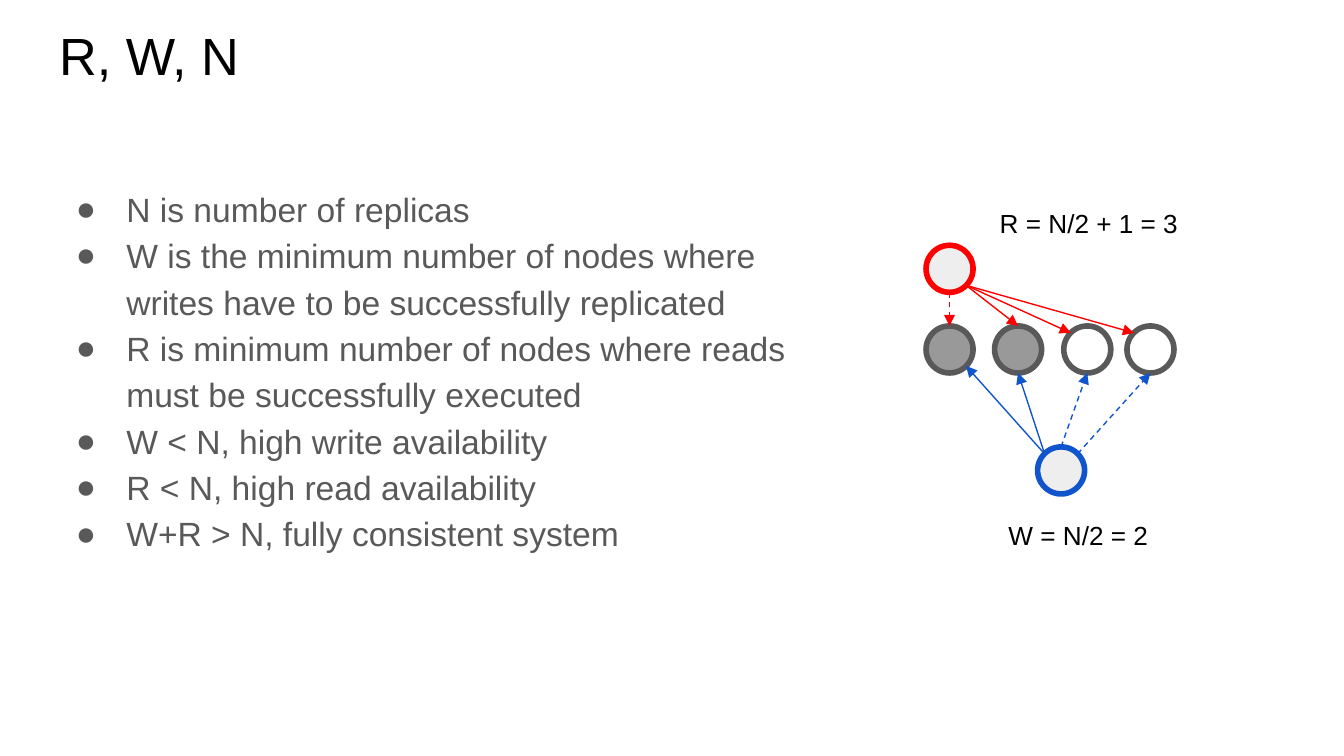
from lxml.etree import SubElement
from pptx import Presentation
from pptx.dml.color import RGBColor
from pptx.enum.dml import MSO_LINE
from pptx.enum.shapes import MSO_CONNECTOR, MSO_SHAPE
from pptx.enum.text import MSO_ANCHOR, MSO_AUTO_SIZE, PP_ALIGN
from pptx.oxml.ns import qn
from pptx.util import Emu, Pt

BLACK = RGBColor(0x00, 0x00, 0x00)
DARK = RGBColor(0x59, 0x59, 0x59)
GRAY = RGBColor(0x99, 0x99, 0x99)
PALE = RGBColor(0xEE, 0xEE, 0xEE)
RED = RGBColor(0xFF, 0x00, 0x00)
BLUE = RGBColor(0x11, 0x55, 0xCC)

PX = 4572
INSET = 20
NODE = 70
SITES = {
    "top": (0.5, 0), "bottom": (0.5, 1),
    "top_left": (0.15, 0.15), "top_right": (0.85, 0.15),
    "bottom_right": (0.85, 0.85),
}
BULLETS = [
    "N is number of replicas",
    "W is the minimum number of nodes where writes have to be successfully replicated",
    "R is minimum number of nodes where reads must be successfully executed",
    "W < N, high write availability",
    "R < N, high read availability",
    "W+R > N, fully consistent system",
]


def px(n):
    return Emu(round(n * PX))


def place(sp, box):
    for name, value in zip(("left", "top", "width", "height"), box):
        setattr(sp, name, px(value))


def prepare_frame(sp):
    tf = sp.text_frame
    fmt = {"word_wrap": True, "auto_size": MSO_AUTO_SIZE.NONE, "vertical_anchor": MSO_ANCHOR.TOP}
    fmt.update({f"margin_{side}": px(INSET) for side in ("left", "top", "right", "bottom")})
    for name, value in fmt.items():
        setattr(tf, name, value)
    return tf


def write(p, text, size, color):
    p.alignment = PP_ALIGN.LEFT
    r = p.add_run()
    r.text = text
    for name, value in {"name": "Arial", "size": Pt(size)}.items():
        setattr(r.font, name, value)
    r.font.color.rgb = color


def add_bullet(p):
    pPr = p._p.get_or_add_pPr()
    pPr.set("marL", str(px(100)))
    pPr.set("indent", str(px(-75)))
    color = SubElement(pPr, qn("a:buClr"))
    SubElement(color, qn("a:srgbClr"), val=str(DARK))
    SubElement(pPr, qn("a:buFont"), typeface="Arial")
    SubElement(pPr, qn("a:buChar"), char="●")


def fill_title(sp, box):
    place(sp, box)
    write(prepare_frame(sp).paragraphs[0], "R, W, N", 28, BLACK)


def fill_body(sp, box):
    place(sp, box)
    tf = prepare_frame(sp)
    for i, text in enumerate(BULLETS):
        p = tf.add_paragraph() if i else tf.paragraphs[0]
        add_bullet(p)
        for name, value in {"line_spacing": 1.15, "space_before": Pt(0), "space_after": Pt(0)}.items():
            setattr(p, name, value)
        write(p, text, 18, DARK)


def add_node(s, x, y, fill, line):
    sp = s.shapes.add_shape(MSO_SHAPE.OVAL, px(x), px(y), px(NODE), px(NODE))
    sp.shadow.inherit = False
    if fill is None:
        sp.fill.background()
    else:
        sp.fill.solid()
        sp.fill.fore_color.rgb = fill
    sp.line.color.rgb = line
    sp.line.width = Pt(3)
    return x, y


def add_arrow(s, start, start_site, end, end_site, color, dashed):
    points = [
        px(origin + NODE * share)
        for node, site in ((start, start_site), (end, end_site))
        for origin, share in zip(node, SITES[site])
    ]
    cx = s.shapes.add_connector(MSO_CONNECTOR.STRAIGHT, *points)
    cx.line.color.rgb = color
    cx.line.width = Pt(0.75)
    if dashed:
        cx.line.dash_style = MSO_LINE.DASH
    SubElement(cx.line._get_or_add_ln(), qn("a:tailEnd"), type="triangle")
    SubElement(cx._element.spPr, qn("a:effectLst"))


def add_label(s, box, text):
    sp = s.shapes.add_textbox(*map(px, box))
    write(prepare_frame(sp).paragraphs[0], text, 14, BLACK)


def add_quorum(s, x, y):
    reader = add_node(s, x, y + 76, PALE, RED)
    replicas = [
        add_node(s, x + dx, y + 196, fill, DARK)
        for dx, fill in ((0, GRAY), (102, GRAY), (205, None), (299, None))
    ]
    writer = add_node(s, x + 166, y + 376, PALE, BLUE)
    reads = [("bottom", "top", True), ("bottom_right", "top", False),
             ("bottom_right", "top_left", False), ("bottom_right", "top_left", False)]
    writes = [("top_left", "bottom_right", False), ("top_left", "bottom", False),
              ("top", "bottom", True), ("top_right", "bottom", True)]
    for client, color, links in ((reader, RED, reads), (writer, BLUE, writes)):
        for replica, (start_site, end_site, dashed) in zip(replicas, links):
            add_arrow(s, client, start_site, replica, end_site, color, dashed)
    add_label(s, (x + 90, y, 398, 70), "R = N/2 + 1 = 3")
    add_label(s, (x + 103, y + 464, 398, 188), "W = N/2 = 2")


def main():
    prs = Presentation()
    prs.slide_width, prs.slide_height = px(2000), px(1125)
    s = prs.slides.add_slide(prs.slide_layouts[1])
    fill_title(s.shapes.title, (68, 14, 1864, 126))
    fill_body(s.placeholders[1], (68, 252, 1190, 748))
    add_quorum(s, 1378, 289)
    prs.save("out.pptx")


if __name__ == "__main__":
    main()
